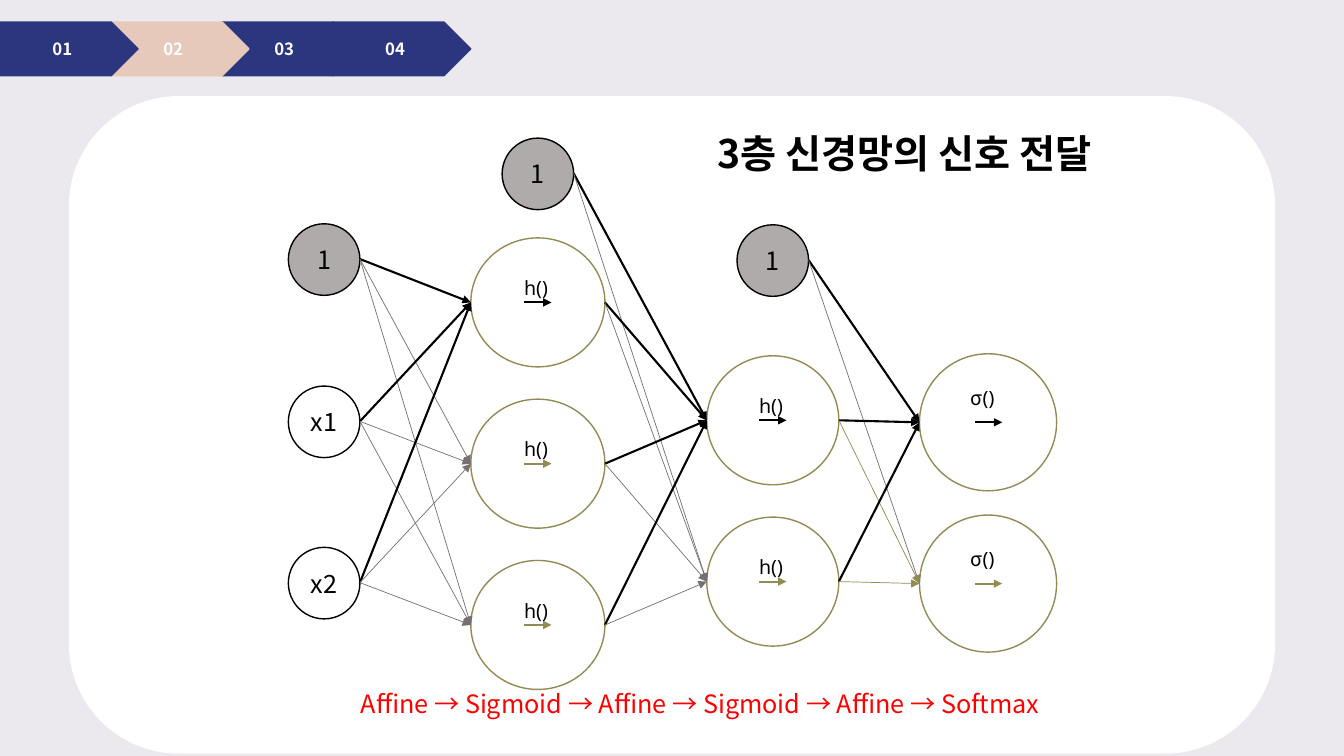
from dataclasses import dataclass

import pptx
import pptx.dml.color
import pptx.enum.shapes
import pptx.enum.text
import pptx.oxml.ns
import pptx.util
from lxml import etree

SHAPE = pptx.enum.shapes.MSO_SHAPE
qn = pptx.oxml.ns.qn


@dataclass(frozen=True)
class Theme:
    background: str = "EBE9ED"
    panel: str = "FFFFFF"
    navy: str = "2C367E"
    peach: str = "E6C9BB"
    ink: str = "000000"
    bias: str = "AFABAB"
    olive: str = "948A54"
    faint: str = "767171"
    accent: str = "FF0000"
    font: str = "Noto Sans CJK KR"
    formula_font: str = "Noto Sans"
    tab_size: int = 12
    formula_size: int = 14
    body_size: int = 18
    title_size: int = 28
    hairline: float = 0.5
    outline: float = 1
    strong: float = 1.5


def px(length):
    """Turn px, 100 to the inch, into EMU."""
    return pptx.util.Emu(length * 9144)


def rgb(color):
    return pptx.dml.color.RGBColor.from_string(color)


class NetworkSlide:
    def __init__(self, deck, theme):
        self.theme = theme
        self.slide = deck.slides.add_slide(deck.slide_layouts[6])
        self.slide.background.fill.solid()
        self.slide.background.fill.fore_color.rgb = rgb(theme.background)

    def set_text(self, paragraph, text, size, color, bold=False, font=None):
        """Fill a paragraph and set its Latin and East Asian fonts."""
        name = font or self.theme.font
        paragraph.text = text
        paragraph.font.size = pptx.util.Pt(size)
        paragraph.font.bold = bold
        paragraph.font.color.rgb = rgb(color)
        paragraph.font.name = name
        defaults = paragraph._p.pPr.find(qn("a:defRPr"))
        etree.SubElement(defaults, qn("a:ea"), typeface=name)

    def shape(self, kind, box, fill, line):
        figure = self.slide.shapes.add_shape(kind, *map(px, box))
        figure.shadow.inherit = False
        if fill:
            figure.fill.solid()
            figure.fill.fore_color.rgb = rgb(fill)
        else:
            figure.fill.background()
        figure.line.color.rgb = rgb(line)
        figure.line.width = pptx.util.Pt(self.theme.outline)
        return figure

    def labelled(self, kind, box, fill, line, text, size, color, bold=False):
        frame = self.shape(kind, box, fill, line).text_frame
        frame.vertical_anchor = pptx.enum.text.MSO_ANCHOR.MIDDLE
        self.set_text(frame.paragraphs[0], text, size, color, bold)
        frame.paragraphs[0].alignment = pptx.enum.text.PP_ALIGN.CENTER

    def text(self, box, text, size, color, bold=False, font=None, wrap=True):
        frame = self.slide.shapes.add_textbox(*map(px, box)).text_frame
        frame.word_wrap = wrap
        frame.auto_size = pptx.enum.text.MSO_AUTO_SIZE.SHAPE_TO_FIT_TEXT
        self.set_text(frame.paragraphs[0], text, size, color, bold, font)
        return frame.paragraphs[0]

    def arrow(self, start, end, color, width):
        link = self.slide.shapes.add_connector(
            pptx.enum.shapes.MSO_CONNECTOR.STRAIGHT, *map(px, (*start, *end)))
        link.line.color.rgb = rgb(color)
        link.line.width = pptx.util.Pt(width)
        properties = link._element.spPr
        etree.SubElement(properties.find(qn("a:ln")), qn("a:tailEnd"), type="triangle")
        etree.SubElement(properties, qn("a:effectLst"))

    def tab(self, index, fill):
        self.labelled(SHAPE.PENTAGON, (110 * index, 22, 137, 53), fill, fill,
                      f"{index + 1:02}", self.theme.tab_size, self.theme.panel, True)

    def input_node(self, left, top, text, fill=None):
        """Draw a small labelled circle and return its box."""
        box = (left, top, 71, 71)
        self.labelled(SHAPE.OVAL, box, fill, self.theme.ink, text,
                      self.theme.body_size, self.theme.ink)
        return box

    def activation_label(self, centre, middle, function):
        theme = self.theme
        if function == "σ":
            box = (centre - 27, middle - 41, 54, 57)
            label = self.text(box, function, theme.formula_size, theme.ink)
            brackets = label.add_run()
            brackets.text = "()"
            brackets.font.name = theme.formula_font
        else:
            box = (centre - 23, middle - 31, 47, 34)
            self.text(box, f"{function}()", theme.formula_size, theme.ink,
                      font=theme.formula_font, wrap=False)

    def layer(self, left, top, width, height, count, function):
        """Draw a column of activation circles and return their boxes."""
        theme = self.theme
        boxes = [(left, top + 160 * row, width, height) for row in range(count)]
        for row, box in enumerate(boxes):
            self.shape(SHAPE.OVAL, box, None, theme.olive)
            centre, middle = left + width // 2, box[1] + height // 2
            self.arrow((centre - 13, middle), (centre + 14, middle),
                       theme.olive if row else theme.ink, theme.strong)
            self.activation_label(centre, middle, function)
        return boxes

    def connect(self, bias, sources, targets, faint):
        """Join every source to every target, stressing paths to the first."""
        theme = self.theme
        for source in (bias, *sources):
            left, top, width, height = source
            thin = theme.faint if source == bias else faint
            for row, target in enumerate(targets):
                color, weight = (thin, theme.hairline) if row else (theme.ink, theme.strong)
                self.arrow((left + width, top + height // 2),
                           (target[0], target[1] + target[3] // 2), color, weight)


def main():
    theme = Theme()
    deck = pptx.Presentation()
    deck.slide_width, deck.slide_height = px(1333), px(750)
    network = NetworkSlide(deck, theme)

    network.shape(SHAPE.ROUNDED_RECTANGLE, (69, 96, 1195, 651), theme.panel, theme.panel)
    for index in reversed(range(4)):
        network.tab(index, theme.peach if index == 1 else theme.navy)

    inputs = [network.input_node(286, 383 + 160 * row, f"x{row + 1}") for row in range(2)]
    biases = [network.input_node(left, top, "1", theme.bias)
              for left, top in ((286, 222), (498, 137), (731, 223))]
    first_hidden = network.layer(467, 236, 133, 128, 3, "h")
    second_hidden = network.layer(701, 353, 131, 128, 2, "h")
    outputs = network.layer(912, 351, 136, 136, 2, "σ")

    network.connect(biases[0], inputs, first_hidden, theme.faint)
    network.connect(biases[1], first_hidden, second_hidden, theme.faint)
    network.connect(biases[2], second_hidden, outputs, theme.olive)

    network.text((348, 678, 769, 40),
                 "Affine → Sigmoid → Affine → Sigmoid → Affine → Softmax",
                 theme.body_size, theme.accent)
    network.text((702, 123, 482, 57), "3층 신경망의 신호 전달",
                 theme.title_size, theme.ink, bold=True)
    deck.save("out.pptx")


if __name__ == "__main__":
    main()
